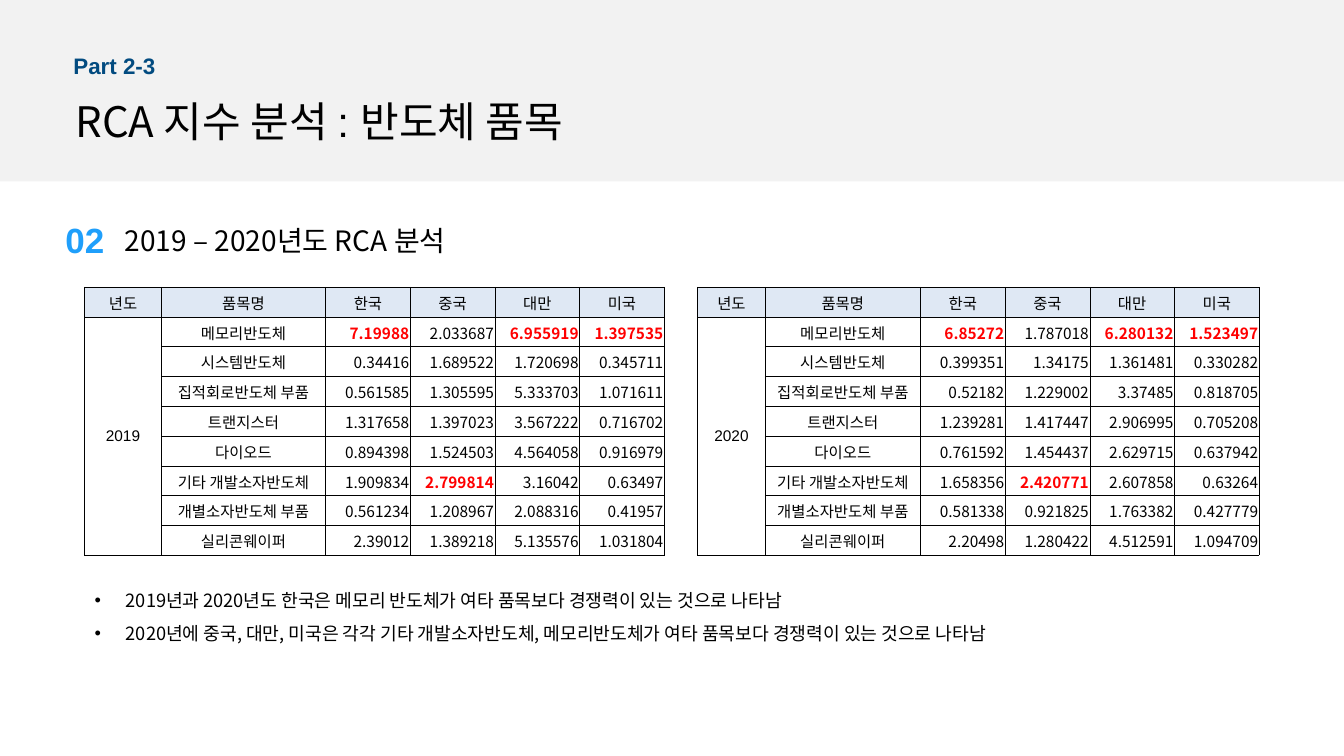
from lxml import etree
from pptx import Presentation
from pptx.dml.color import RGBColor
from pptx.enum.shapes import MSO_SHAPE
from pptx.enum.text import MSO_ANCHOR, MSO_AUTO_SIZE, PP_ALIGN
from pptx.oxml.ns import qn
from pptx.util import Inches, Pt

RECT = MSO_SHAPE.RECTANGLE
MIDDLE = MSO_ANCHOR.MIDDLE
GROW = MSO_AUTO_SIZE.SHAPE_TO_FIT_TEXT
LEFT, CENTER, RIGHT = PP_ALIGN.LEFT, PP_ALIGN.CENTER, PP_ALIGN.RIGHT

ARIAL = "Arial"
NOTO = "Noto Sans CJK KR"
BLACK, WHITE, RED = "000000", "FFFFFF", "FF0000"
BAND, HEADER = "F2F2F2", "DFE8F4"
NAVY, BLUE = "024B80", "1F9FFB"

COUNTRIES = ["한국", "중국", "대만", "미국"]
ITEMS = ["메모리반도체", "시스템반도체", "집적회로반도체 부품", "트랜지스터", "다이오드",
         "기타 개발소자반도체", "개별소자반도체 부품", "실리콘웨이퍼"]
RCA_2019 = [
    [7.19988, 2.033687, 6.955919, 1.397535],
    [0.34416, 1.689522, 1.720698, 0.345711],
    [0.561585, 1.305595, 5.333703, 1.071611],
    [1.317658, 1.397023, 3.567222, 0.716702],
    [0.894398, 1.524503, 4.564058, 0.916979],
    [1.909834, 2.799814, 3.16042, 0.63497],
    [0.561234, 1.208967, 2.088316, 0.41957],
    [2.39012, 1.389218, 5.135576, 1.031804],
]
RCA_2020 = [
    [6.85272, 1.787018, 6.280132, 1.523497],
    [0.399351, 1.34175, 1.361481, 0.330282],
    [0.52182, 1.229002, 3.37485, 0.818705],
    [1.239281, 1.417447, 2.906995, 0.705208],
    [0.761592, 1.454437, 2.629715, 0.637942],
    [1.658356, 2.420771, 2.607858, 0.63264],
    [0.581338, 0.921825, 1.763382, 0.427779],
    [2.20498, 1.280422, 4.512591, 1.094709],
]
FINDINGS = [
    "2019년과 2020년도 한국은 메모리 반도체가 여타 품목보다 경쟁력이 있는 것으로 나타남",
    "2020년에 중국, 대만, 미국은 각각 기타 개발소자반도체, 메모리반도체가 여타 품목보다 경쟁력이 있는 것으로 나타남",
]


def rgb(value):
    return RGBColor.from_string(value)


class SlideBuilder:
    def __init__(self, slide):
        self.slide = slide

    def style(self, r, size, font=NOTO, color=BLACK, bold=False):
        r.font.size = Pt(size)
        r.font.name = font
        r.font.bold = bold
        r.font.color.rgb = rgb(color)
        etree.SubElement(r.font._element, qn("a:ea"), typeface=NOTO)

    def band(self, left, top, width, height, color):
        sp = self.slide.shapes.add_shape(
            RECT, Inches(left), Inches(top), Inches(width), Inches(height))
        sp.shadow.inherit = False
        sp.fill.solid()
        sp.fill.fore_color.rgb = rgb(color)
        sp.line.fill.background()

    def box(self, left, top, width, height):
        sp = self.slide.shapes.add_textbox(
            Inches(left), Inches(top), Inches(width), Inches(height))
        tf = sp.text_frame
        tf.word_wrap = True
        tf.auto_size = GROW
        return tf

    def text(self, place, size, *parts, color=BLACK, bold=False):
        p = self.box(*place).paragraphs[0]
        for words, font in parts:
            r = p.add_run()
            r.text = words
            self.style(r, size, font, color, bold)

    def bullets(self, place, lines, size):
        tf = self.box(*place)
        tf.text = "\n".join(lines)
        for p in tf.paragraphs:
            p.line_spacing = 1.5
            pPr = p._p.get_or_add_pPr()
            pPr.set("marL", str(Inches(0.31)))
            pPr.set("indent", str(-Inches(0.31)))
            etree.SubElement(pPr, qn("a:buFont"), typeface=ARIAL)
            etree.SubElement(pPr, qn("a:buChar"), char="•")
            self.style(p.runs[0], size)

    def cell(self, cell, words, fill=WHITE, align=CENTER, **style):
        cell.margin_left = cell.margin_right = cell.margin_top = Inches(0.01)
        cell.margin_bottom = 0
        cell.vertical_anchor = MIDDLE
        tcPr = cell._tc.get_or_add_tcPr()
        for side in ("a:lnL", "a:lnR", "a:lnT", "a:lnB"):
            ln = etree.SubElement(tcPr, qn(side), w=str(Pt(0.5)))
            solid = etree.SubElement(ln, qn("a:solidFill"))
            etree.SubElement(solid, qn("a:srgbClr"), val=BLACK)
        cell.fill.solid()
        cell.fill.fore_color.rgb = rgb(fill)
        p = cell.text_frame.paragraphs[0]
        p.text = words
        p.alignment = align
        for r in p.runs:
            self.style(r, 11, **style)

    def rca_table(self, left, year, year_width, item_width, values):
        widths = [year_width, item_width] + [0.84] * len(COUNTRIES)
        rows = len(values) + 1
        table = self.slide.shapes.add_table(
            rows, len(widths), Inches(left), Inches(2.85),
            Inches(sum(widths)), Inches(2.66)).table
        table.first_row = table.horz_banding = False
        for column, width in zip(table.columns, widths):
            column.width = Inches(width)
        for row in table.rows:
            row.height = Inches(2.66 / rows)
        for c, title in enumerate(["년도", "품목명"] + COUNTRIES):
            self.cell(table.cell(0, c), title, HEADER, font=ARIAL)
        peaks = [max(column) for column in zip(*values)]
        for i, (item, numbers) in enumerate(zip(ITEMS, values), 1):
            self.cell(table.cell(i, 0), year if i == 1 else "", font=ARIAL)
            self.cell(table.cell(i, 1), item, font=ARIAL)
            for c, (number, peak) in enumerate(zip(numbers, peaks), 2):
                top = number == peak
                self.cell(table.cell(i, c), str(number), align=RIGHT,
                          color=RED if top else BLACK, bold=top)
        table.cell(1, 0).merge(table.cell(rows - 1, 0))


def main():
    prs = Presentation()
    prs.slide_width = Inches(13.33)
    prs.slide_height = Inches(7.5)
    s = SlideBuilder(prs.slides.add_slide(prs.slide_layouts[6]))
    s.band(0, 0, 13.33, 1.8, BAND)
    s.text((0.63, 0.47, 1.1, 0.37), 16, ("Part 2-3", ARIAL), color=NAVY, bold=True)
    s.rca_table(0.84, "2019", 0.76, 1.63, RCA_2019)
    s.rca_table(6.92, "2020", 0.67, 1.54, RCA_2020)
    s.bullets((0.84, 5.69, 10.28, 0.72), FINDINGS, 13)
    s.text((0.65, 0.9, 6.28, 0.61), 30, ("RCA ", NOTO), ("지수 분석 : 반도체 품목", ARIAL))
    s.text((0.55, 2.12, 0.71, 0.54), 25, ("02", ARIAL), color=BLUE, bold=True)
    s.text((1.14, 2.17, 4.96, 0.44), 20, ("2019 – 2020년도 RCA 분석", NOTO))
    prs.save("out.pptx")


if __name__ == "__main__":
    main()
